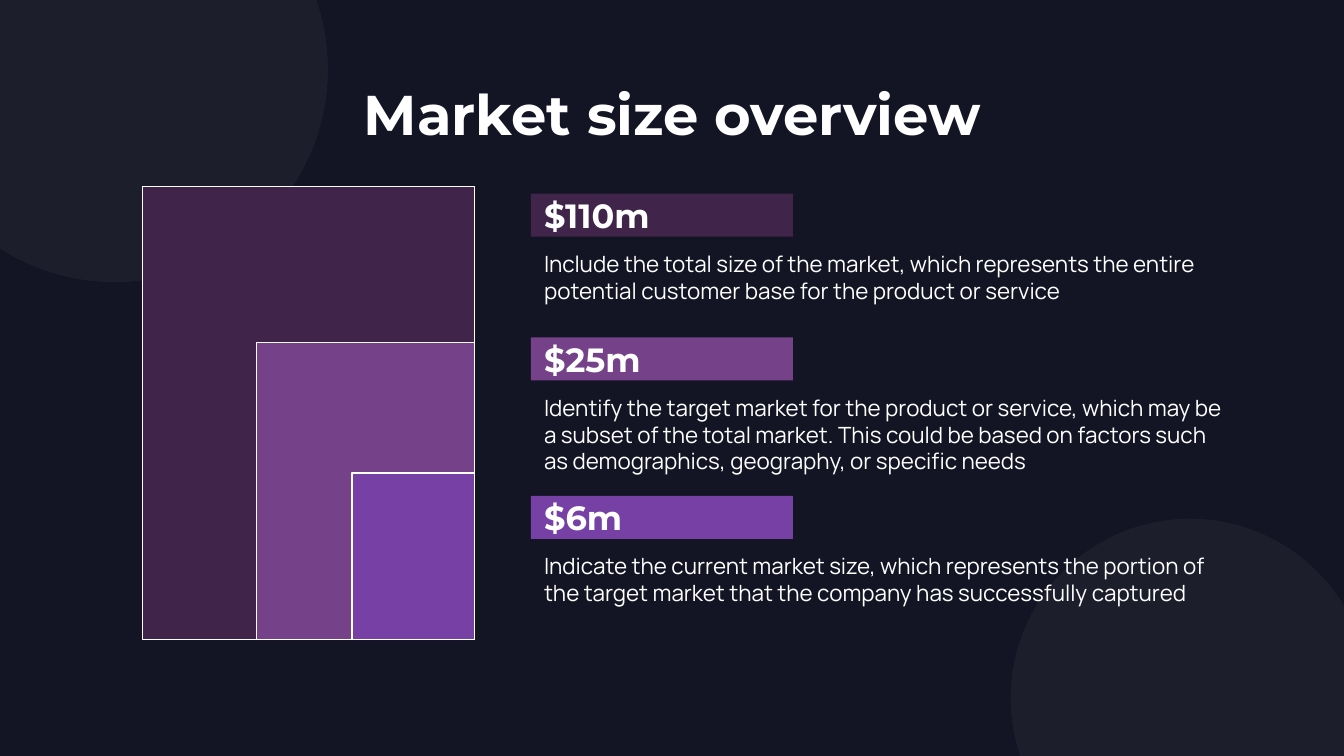
from dataclasses import dataclass

from lxml import etree
from pptx import Presentation
from pptx.dml.color import RGBColor
from pptx.enum.shapes import MSO_SHAPE
from pptx.enum.text import MSO_ANCHOR, PP_ALIGN
from pptx.oxml.ns import qn
from pptx.util import Inches, Pt

RECTANGLE, OVAL = MSO_SHAPE.RECTANGLE, MSO_SHAPE.OVAL
TOP, MIDDLE = MSO_ANCHOR.TOP, MSO_ANCHOR.MIDDLE
LEFT, CENTER = PP_ALIGN.LEFT, PP_ALIGN.CENTER

COLORS = {
    "background": "131524",
    "white": "FFFFFF",
    "total": "40244A",
    "target": "754289",
    "current": "7740A4",
}
HEADING_FONT, BODY_FONT = "Montserrat", "Manrope"

# The nested areas share their bottom right corner
CORNER_X, CORNER_Y = 3.53, 4.76
TEXT_LEFT = 3.95
LABEL_WIDTH, LABEL_HEIGHT = 1.95, 0.32
BODY_WIDTH, BODY_HEIGHT = 5.27, 0.75


@dataclass
class Circle:
    left: float
    top: float
    diameter: float


@dataclass
class Market:
    color: str
    width: float
    height: float
    label_top: float
    amount: str
    description: str


CIRCLES = [Circle(-0.73, -1.07, 3.17), Circle(7.52, 3.86, 2.67)]
MARKETS = [
    Market("total", 2.47, 3.37, 1.44, "$110m",
           "Include the total size of the market, which represents the entire "
           "potential customer base for the product or service"),
    Market("target", 1.62, 2.21, 2.51, "$25m",
           "Identify the target market for the product or service, which may be "
           "a subset of the total market. This could be based on factors such "
           "as demographics, geography, or specific needs"),
    Market("current", 0.91, 1.24, 3.69, "$6m",
           "Indicate the current market size, which represents the portion of "
           "the target market that the company has successfully captured"),
]


def rgb(name: str) -> RGBColor:
    return RGBColor.from_string(COLORS[name])


def add_filled(page, kind, left: float, top: float, width: float, height: float,
               color: str):
    """Add a flat preset shape without an outline."""
    shape = page.shapes.add_shape(kind, Inches(left), Inches(top),
                                  Inches(width), Inches(height))
    shape.shadow.inherit = False
    shape.fill.solid()
    shape.fill.fore_color.rgb = rgb(color)
    shape.line.fill.background()
    return shape


def write(box, text: str, font: str, size: float, bold: bool = False,
          align=LEFT, anchor=TOP) -> None:
    """Put one white paragraph into a box."""
    frame = box.text_frame
    frame.word_wrap = True
    frame.vertical_anchor = anchor
    frame.margin_left = frame.margin_right = Inches(0.1)
    frame.margin_top = frame.margin_bottom = Inches(0.1)
    para = frame.paragraphs[0]
    para.text = text
    para.alignment = align
    para.font.name = font
    para.font.size = Pt(size)
    para.font.bold = bold
    para.font.color.rgb = rgb("white")


def add_text_box(page, left: float, top: float, width: float, height: float):
    return page.shapes.add_textbox(Inches(left), Inches(top),
                                   Inches(width), Inches(height))


def draw_circle(page, circle: Circle) -> None:
    shape = add_filled(page, OVAL, circle.left, circle.top,
                       circle.diameter, circle.diameter, "white")
    color = shape.element.spPr.find(qn("a:solidFill"))[0]
    etree.SubElement(color, qn("a:alpha"), val="4000")


def draw_area(page, market: Market) -> None:
    area = add_filled(page, RECTANGLE, CORNER_X - market.width,
                      CORNER_Y - market.height, market.width, market.height,
                      market.color)
    area.line.color.rgb = rgb("white")
    area.line.width = Pt(0.75)


def draw_entry(page, market: Market) -> None:
    label = add_filled(page, RECTANGLE, TEXT_LEFT, market.label_top,
                       LABEL_WIDTH, LABEL_HEIGHT, market.color)
    write(label, market.amount, HEADING_FONT, 18, bold=True, anchor=MIDDLE)
    body = add_text_box(page, TEXT_LEFT, market.label_top + LABEL_HEIGHT,
                        BODY_WIDTH, BODY_HEIGHT)
    write(body, market.description, BODY_FONT, 12)


def main() -> None:
    deck = Presentation()
    # Widescreen page, 16:9
    deck.slide_width = Inches(10)
    deck.slide_height = Inches(10 * 9 / 16)
    page = deck.slides.add_slide(deck.slide_layouts[6])
    page.background.fill.solid()
    page.background.fill.fore_color.rgb = rgb("background")

    # Background circles
    for circle in CIRCLES:
        draw_circle(page, circle)

    # Title
    title = add_text_box(page, 0.79, 0.49, 8.43, 0.63)
    write(title, "Market size overview", HEADING_FONT, 30, bold=True, align=CENTER)

    # Nested market areas with their explanations
    for market in MARKETS:
        draw_area(page, market)
        draw_entry(page, market)

    deck.save("out.pptx")


if __name__ == "__main__":
    main()
